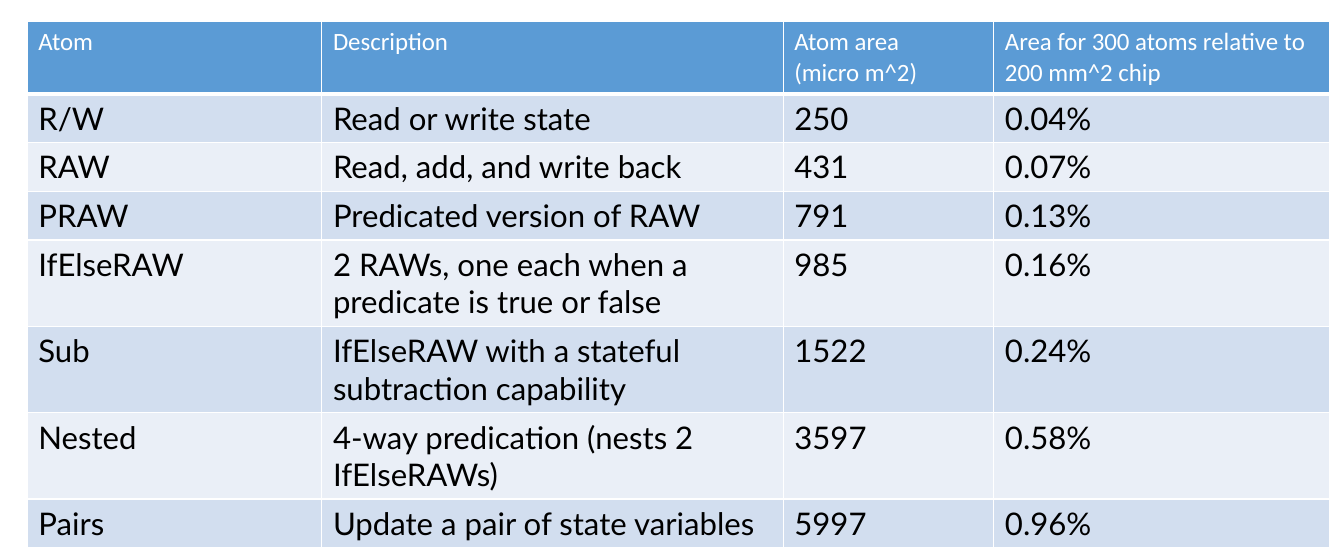
from dataclasses import dataclass

from lxml.etree import SubElement
from pptx import Presentation
from pptx.dml.color import RGBColor
from pptx.oxml.ns import qn
from pptx.table import _Cell as Cell
from pptx.util import Pt


@dataclass(frozen=True)
class Theme:
    header_fill: str = "5B9BD5"
    bands: tuple[str, str] = ("D2DEEF", "EAEFF7")
    border: str = "FFFFFF"
    border_width: float = 1
    header_rule: float = 3


@dataclass(frozen=True)
class TextStyle:
    font: str
    size: float
    color: str


@dataclass(frozen=True)
class Atom:
    name: str
    description: str
    area: str
    chip_share: str
    height: float = 31.2

    def texts(self) -> tuple[str, ...]:
        return self.name, self.description, self.area, self.chip_share


THEME = Theme()
HEADER_STYLE = TextStyle("Calibri", 16, "FFFFFF")
BODY_STYLE = TextStyle("Lato", 20, "000000")

TWO_LINES = 55.2
COLUMN_WIDTHS = (189.4, 296.6, 135.4, 216)
HEADER = Atom("Atom", "Description", "Atom area\n(micro m^2)",
              "Area for 300 atoms relative to 200 mm^2 chip", 45.6)
ATOMS = (
    Atom("R/W", "Read or write state", "250", "0.04%"),
    Atom("RAW", "Read, add, and write back", "431", "0.07%"),
    Atom("PRAW", "Predicated version of RAW", "791", "0.13%"),
    Atom("IfElseRAW", "2 RAWs, one each when a predicate is true or false",
         "985", "0.16%", TWO_LINES),
    Atom("Sub", "IfElseRAW with a stateful subtraction capability",
         "1522", "0.24%", TWO_LINES),
    Atom("Nested", "4-way predication (nests 2 IfElseRAWs)",
         "3597", "0.58%", TWO_LINES),
    Atom("Pairs", "Update a pair of state variables", "5997", "0.96%"),
)


def add_borders(cell: Cell, bottom_width: float) -> None:
    """Call before filling the cell: borders precede the fill in the XML."""
    properties = cell._tc.get_or_add_tcPr()
    for side in "LRTB":
        width = bottom_width if side == "B" else THEME.border_width
        line = SubElement(properties, qn(f"a:ln{side}"), w=str(Pt(width)))
        fill = SubElement(line, qn("a:solidFill"))
        SubElement(fill, qn("a:srgbClr"), val=THEME.border)


def fill_cell(cell: Cell, text: str, style: TextStyle, fill: str,
              bottom_width: float) -> None:
    add_borders(cell, bottom_width)
    cell.fill.solid()
    cell.fill.fore_color.rgb = RGBColor.from_string(fill)
    cell.text = text
    for para in cell.text_frame.paragraphs:
        para.font.name = style.font
        para.font.size = Pt(style.size)
        para.font.bold = False
        para.font.color.rgb = RGBColor.from_string(style.color)


def main() -> None:
    deck = Presentation()
    deck.slide_width, deck.slide_height = Pt(864), Pt(360)
    page = deck.slides.add_slide(deck.slide_layouts[6])

    # Table grid
    rows = (HEADER, *ATOMS)
    table = page.shapes.add_table(
        len(rows), len(COLUMN_WIDTHS), Pt(17.5), Pt(13.9),
        Pt(sum(COLUMN_WIDTHS)), Pt(sum(row.height for row in rows))).table
    for column, width in zip(table.columns, COLUMN_WIDTHS):
        column.width = Pt(width)

    # Header and banded atom rows
    for index, atom in enumerate(rows):
        table.rows[index].height = Pt(atom.height)
        if atom is HEADER:
            look = HEADER_STYLE, THEME.header_fill, THEME.header_rule
        else:
            look = BODY_STYLE, THEME.bands[(index - 1) % 2], THEME.border_width
        for cell, text in zip(table.rows[index].cells, atom.texts()):
            fill_cell(cell, text, *look)

    deck.save("out.pptx")


if __name__ == "__main__":
    main()
